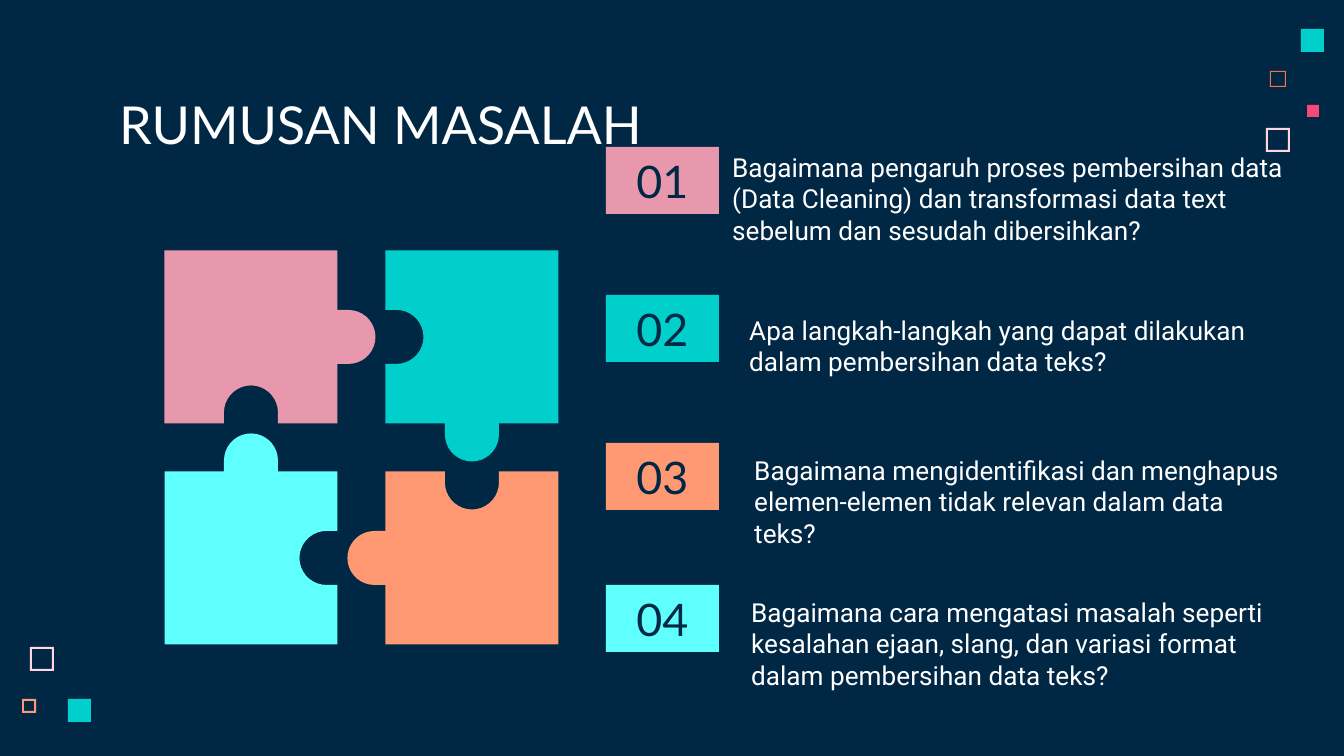
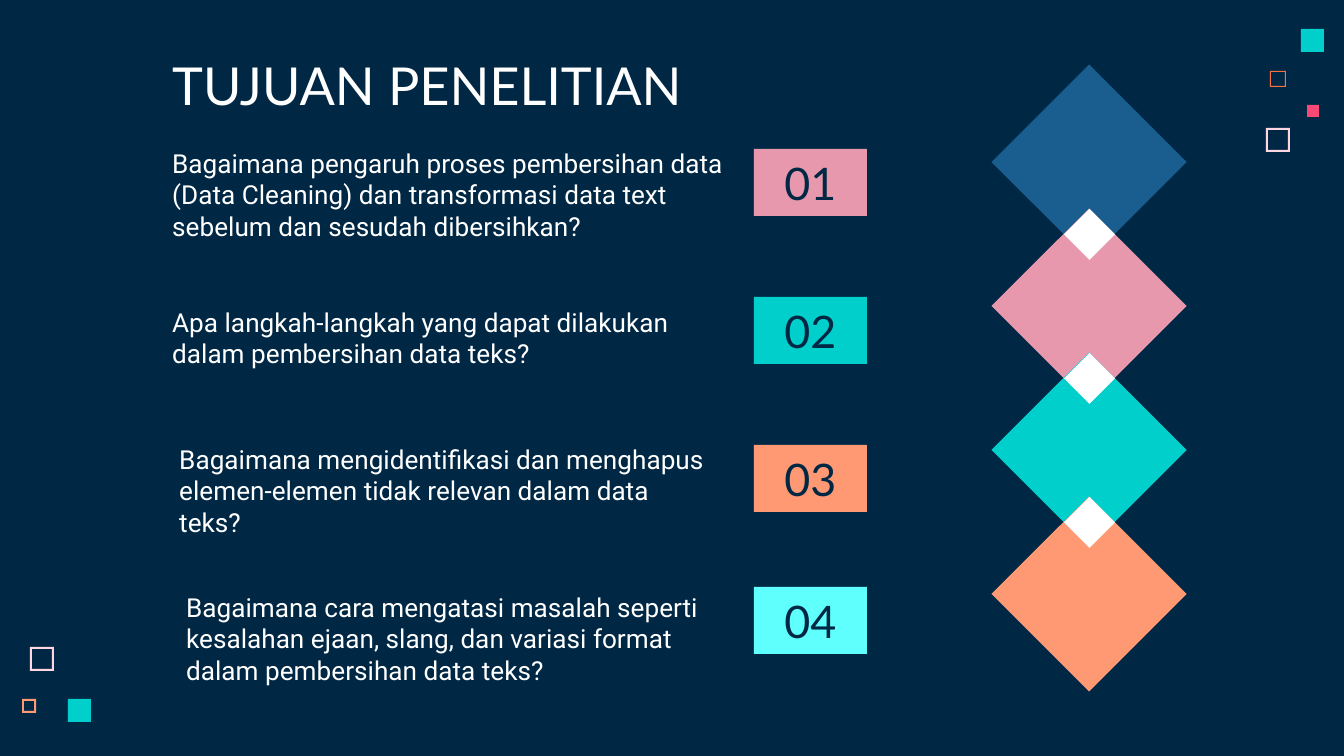
import math
from dataclasses import dataclass

import pptx
import pptx.dml.color
import pptx.enum.shapes
import pptx.enum.text
import pptx.util

EMU_PER_PX = 914400 / 134.4
PRESET = pptx.enum.shapes.MSO_SHAPE
ALIGN = pptx.enum.text.PP_ALIGN
ANCHOR = pptx.enum.text.MSO_ANCHOR


@dataclass(frozen=True)
class Theme:
    navy: str = "002845"
    white: str = "FFFFFF"
    pink: str = "E898AC"
    teal: str = "00CFCC"
    orange: str = "FF9973"
    cyan: str = "5EFFFD"
    blue: str = "1A5E8F"
    blush: str = "FFD6E1"
    rust: str = "FC723F"
    rose: str = "F64975"
    heading_font: str = "Lato"
    body_font: str = "Roboto"
    title_size: int = 28
    number_size: int = 24
    body_size: int = 14


theme = Theme()


def draw(page, figure, place, color=None):
    """Add a text box (None), an outline (list of points around place) or a preset."""
    left, top, *size = [round(length * EMU_PER_PX) for length in place]
    if figure is None:
        return page.shapes.add_textbox(left, top, *size)
    if isinstance(figure, list):
        points = [(x * EMU_PER_PX, y * EMU_PER_PX) for x, y in figure]
        builder = page.shapes.build_freeform(*points[0], scale=1.0)
        builder.add_line_segments(points[1:], close=True)
        shape = builder.convert_to_shape(left, top)
    else:
        shape = page.shapes.add_shape(figure, left, top, *size)
    shape.shadow.inherit = False
    shape.fill.solid()
    shape.fill.fore_color.rgb = pptx.dml.color.RGBColor.from_string(color)
    shape.line.fill.background()
    return shape


def write(box, text, *, font=theme.body_font, size=theme.body_size, color=theme.white,
          align=ALIGN.LEFT, anchor=ANCHOR.TOP):
    frame = box.text_frame
    frame.word_wrap = True
    frame.vertical_anchor = anchor
    frame.margin_left = frame.margin_right = pptx.util.Inches(0.1)
    frame.margin_top = frame.margin_bottom = pptx.util.Inches(0.1)
    para = frame.paragraphs[0]
    para.alignment = align
    span = para.add_run()
    span.text = text
    span.font.name = font
    span.font.size = pptx.util.Pt(size)
    span.font.color.rgb = pptx.dml.color.RGBColor.from_string(color)


deck = pptx.Presentation()
deck.slide_width = round(1344 * EMU_PER_PX)
deck.slide_height = round(756 * EMU_PER_PX)
backdrop = deck.slide_master.background.fill
backdrop.solid()
backdrop.fore_color.rgb = pptx.dml.color.RGBColor.from_string(theme.navy)

# Corner squares: left, top, side, border (0 means solid), colour
corner_squares = [
    (1266, 128, 24, 2, theme.blush),
    (1270, 71, 16, 1, theme.rust),
    (1301, 29, 23, 0, theme.teal),
    (22, 699, 14, 2, theme.orange),
    (1307, 105, 12, 0, theme.rose),
    (30, 647, 24, 2, theme.blush),
    (68, 699, 23, 0, theme.teal),
]

# Questions: text, width, badge colour, badge distance below the first badge
questions = [
    ("Bagaimana pengaruh proses pembersihan data (Data Cleaning) dan transformasi "
     "data text sebelum dan sesudah dibersihkan?", 599, theme.pink, 0),
    ("Apa langkah-langkah yang dapat dilakukan dalam pembersihan data teks?",
     567, theme.teal, 148),
    ("Bagaimana mengidentifikasi dan menghapus elemen-elemen tidak relevan dalam "
     "data teks?", 560, theme.orange, 296),
    ("Bagaimana cara mengatasi masalah seperti kesalahan ejaan, slang, dan variasi "
     "format dalam pembersihan data teks?", 554, theme.cyan, 438),
]

# Slides: title, title box, first badge corner, corners of the question texts
layouts = [
    ("RUMUSAN MASALAH", (106, 79, 1133, 85), (606, 147),
     [(719, 138), (736, 301), (741, 441), (738, 583)]),
    ("TUJUAN PENELITIAN", (159, 40, 1011, 75), (754, 149),
     [(159, 134), (159, 293), (166, 430), (173, 578)]),
]

pages = []
for title, title_box, (badge_left, badge_top), corners in layouts:
    page = deck.slides.add_slide(deck.slide_layouts[6])
    pages.append(page)
    for left, top, side, border, color in corner_squares:
        figure = PRESET.FRAME if border else PRESET.RECTANGLE
        square = draw(page, figure, (left, top, side, side), color)
        if border:
            square.adjustments[0] = border / side
    write(draw(page, None, title_box), title,
          font=theme.heading_font, size=theme.title_size)
    for number, (question, corner) in enumerate(zip(questions, corners), 1):
        text, width, color, drop = question
        badge = draw(page, PRESET.RECTANGLE,
                     (badge_left, badge_top + drop, 113, 67), color)
        write(badge, f"{number:02}", font=theme.heading_font, size=theme.number_size,
              color=theme.navy, align=ALIGN.CENTER, anchor=ANCHOR.MIDDLE)
        write(draw(page, None, (*corner, width, 71)), text)

problem_page, goal_page = pages

# Puzzle: one piece with a knob on the right and a notch below, turned clockwise
half = 173 / 2
knob_radius, neck = 27, 11
arc = [math.radians(degrees) for degrees in range(-90, 91, 10)]
knob = [(0, -knob_radius)]
knob += [(neck + knob_radius * math.cos(a), knob_radius * math.sin(a)) for a in arc]
knob += [(0, knob_radius)]
piece = [(-half, -half), (half, -half)]
piece += [(half + out, along) for out, along in knob]
piece += [(half, half)]
piece += [(-along, half - out) for out, along in knob]
piece += [(-half, half)]

pieces = [
    (251, 337, theme.pink),
    (472, 337, theme.teal),
    (472, 558, theme.orange),
    (251, 558, theme.cyan),
]
for center_x, center_y, color in pieces:
    draw(problem_page, piece, (center_x, center_y), color)
    piece = [(-y, x) for x, y in piece]

# Chain of diamonds with white links where they overlap
chain_step = 144
for row, color in enumerate([theme.blue, theme.pink, theme.teal, theme.orange]):
    diamond = draw(goal_page, PRESET.RECTANGLE,
                   (1020, 93 + row * chain_step, 138, 138), color)
    diamond.rotation = 135
for row in range(3):
    link = draw(goal_page, PRESET.DIAMOND,
                (1064, 209 + row * chain_step, 51, 51), theme.white)
    link.rotation = 90

deck.save("out.pptx")
